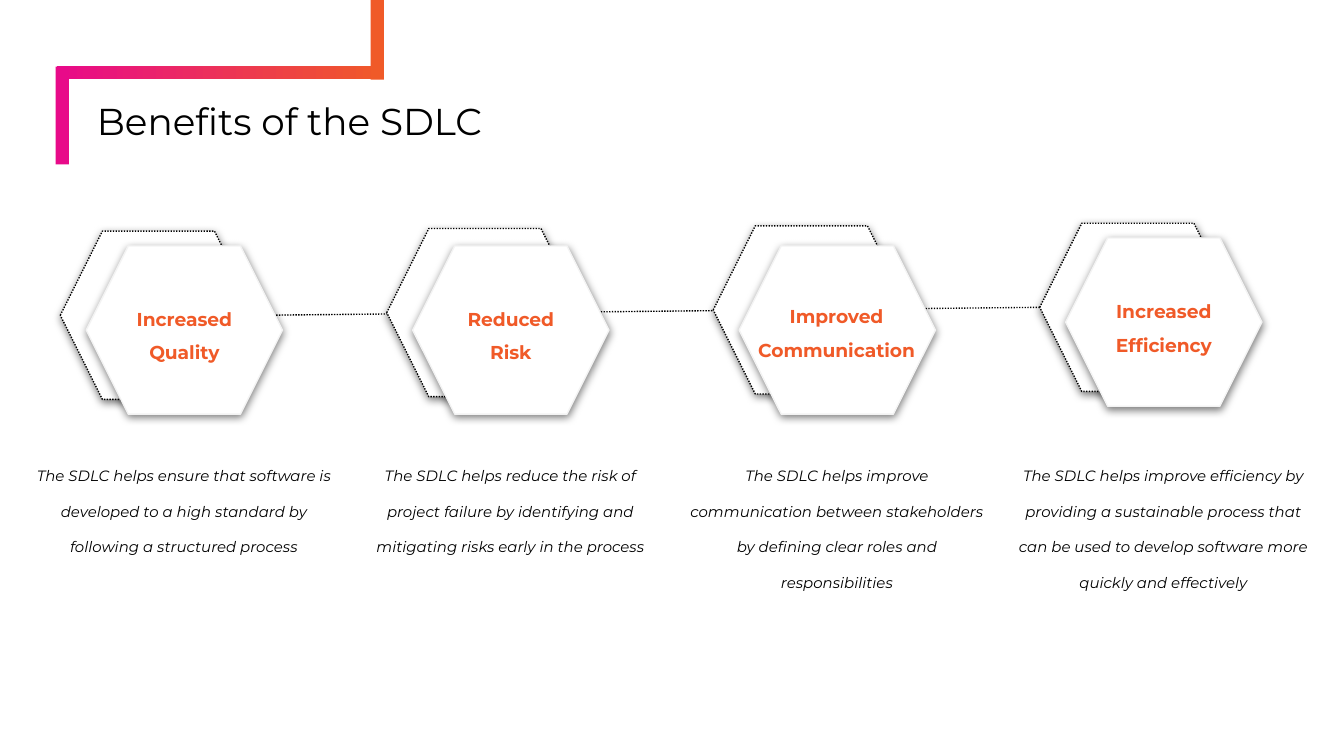
from lxml.etree import SubElement
from pptx import Presentation
from pptx.dml.color import RGBColor
from pptx.enum.dml import MSO_LINE
from pptx.enum.shapes import MSO_CONNECTOR, MSO_SHAPE as SHAPE
from pptx.enum.text import MSO_ANCHOR as ANCHOR, MSO_AUTO_SIZE, PP_ALIGN
from pptx.oxml.ns import qn
from pptx.util import Cm, Pt

# Content
TITLE = "Benefits of the SDLC"
BENEFITS = [
    ("Increased Quality", "The SDLC helps ensure that software is developed to a high "
     "standard by following a structured process"),
    ("Reduced Risk", "The SDLC helps reduce the risk of project failure by identifying "
     "and mitigating risks early in the process"),
    ("Improved Communication", "The SDLC helps improve communication between "
     "stakeholders by defining clear roles and responsibilities"),
    ("Increased Efficiency", "The SDLC helps improve efficiency by providing a "
     "sustainable process that can be used to develop software more quickly and "
     "effectively"),
]
WIDE_LABEL = "Improved Communication"  # too wide for a hexagon's text area


class Theme:
    font = "Montserrat"
    black = RGBColor.from_string("000000")
    white = RGBColor.from_string("FFFFFF")
    edge = RGBColor.from_string("F3F3F3")
    pink = RGBColor.from_string("E80A89")
    orange = RGBColor.from_string("F05A28")
    title, label, body, line = Pt(20), Pt(10), Pt(8), Pt(0.75)


# Layout, in cm
PITCH = 6.17
HEX_W, HEX_H = 3.71, 3.18
FRONT_X, FRONT_TOPS = 1.63, (4.65, 4.65, 4.65, 4.5)
BACK_X, BACK_Y, BACK_RISE = 1.14, 4.37, 0.05
BODY_X, BODY_Y, BODY_W, BODY_HEIGHTS = 0.38, 8.23, 6.2, (2.24, 2.24, 2.9, 2.9)

prs = Presentation()
prs.slide_width, prs.slide_height = Cm(25.4), Cm(14.29)
slide = prs.slides.add_slide(prs.slide_layouts[5])
shapes = slide.shapes


def box(x, y, w, h):
    return Cm(x), Cm(y), Cm(w), Cm(h)


def add_bar(x, y, w, h, color, rotation=0):
    s = shapes.add_shape(SHAPE.RECTANGLE, *box(x, y, w, h))
    s.rotation = rotation
    s.shadow.inherit = False
    s.fill.solid()
    s.fill.fore_color.rgb = color
    s.line.fill.background()
    return s


def add_hexagon(x, y, edge, dotted=False):
    s = shapes.add_shape(SHAPE.HEXAGON, *box(x, y, HEX_W, HEX_H))
    s.adjustments[0] = 0.25
    s.fill.solid()
    s.fill.fore_color.rgb = Theme.white
    s.line.color.rgb = edge
    s.line.width = Theme.line
    if dotted:
        s.line.dash_style = MSO_LINE.ROUND_DOT
    # Soft shadow below the hexagon
    s.shadow.inherit = False
    effects = s._element.spPr.find(qn("a:effectLst"))
    shadow = SubElement(effects, qn("a:outerShdw"), blurRad=str(Pt(4.5)),
                        dist=str(Pt(1.5)), dir="5400000", algn="bl", rotWithShape="0")
    color = SubElement(shadow, qn("a:srgbClr"), val=str(Theme.black))
    SubElement(color, qn("a:alpha"), val="50000")
    return s


def write(s, text, size, color, spacing, align=PP_ALIGN.CENTER, anchor=ANCHOR.TOP,
          inset=0.25):
    tf = s.text_frame
    tf.word_wrap = True
    tf.auto_size = MSO_AUTO_SIZE.NONE
    tf.vertical_anchor = anchor
    tf.margin_left = tf.margin_right = tf.margin_top = tf.margin_bottom = Cm(inset)
    p = tf.paragraphs[0]
    p.text = text
    p.alignment = align
    p.line_spacing = spacing
    p.font.name, p.font.size, p.font.color.rgb = Theme.font, size, color
    return p


# Corner frame
band = add_bar(1.07, 1.24, 6.17, 0.25, Theme.pink)
band.fill.gradient()
band.fill.gradient_angle = 0
for stop, color in zip(band.fill.gradient_stops, (Theme.pink, Theme.orange)):
    stop.color.rgb = color
add_bar(0.25, 2.06, 1.85, 0.25, Theme.pink, 90)
add_bar(6.38, 0.63, 1.5, 0.25, Theme.orange, 90)

# Title
title = shapes.title
title.left, title.top, title.width, title.height = box(1.7, 1.98, 22.94, 0.86)
write(title, TITLE, Theme.title, Theme.black, 0.9, PP_ALIGN.LEFT, ANCHOR.BOTTOM, 0.13)

# Dotted line from the first to the last hexagon
last = len(BENEFITS) - 1
mid = BACK_Y + HEX_H / 2
link = shapes.add_connector(
    MSO_CONNECTOR.STRAIGHT, Cm(BACK_X + last * PITCH), Cm(mid - last * BACK_RISE),
    Cm(BACK_X + HEX_W), Cm(mid))
link.line.color.rgb = Theme.black
link.line.width = Theme.line
link.line.dash_style = MSO_LINE.ROUND_DOT
SubElement(link._element.spPr, qn("a:effectLst"))

# Benefits: paired hexagons, label and description
for i, (label, body) in enumerate(BENEFITS):
    dx = i * PITCH
    add_hexagon(BACK_X + dx, BACK_Y - i * BACK_RISE, Theme.black, dotted=True)
    s = add_hexagon(FRONT_X + dx, FRONT_TOPS[i], Theme.edge)
    anchor = ANCHOR.MIDDLE
    if label == WIDE_LABEL:
        s = shapes.add_textbox(*box(13.74, 5.31, 4.14, 1.57))
        anchor = ANCHOR.TOP
    p = write(s, label, Theme.label, Theme.orange, 1.5, anchor=anchor)
    p.font.bold = True

    s = shapes.add_textbox(*box(BODY_X + dx, BODY_Y, BODY_W, BODY_HEIGHTS[i]))
    p = write(s, body, Theme.body, Theme.black, 2.0)
    p.font.italic = True
    p.space_after = Pt(10)

prs.save("out.pptx")
